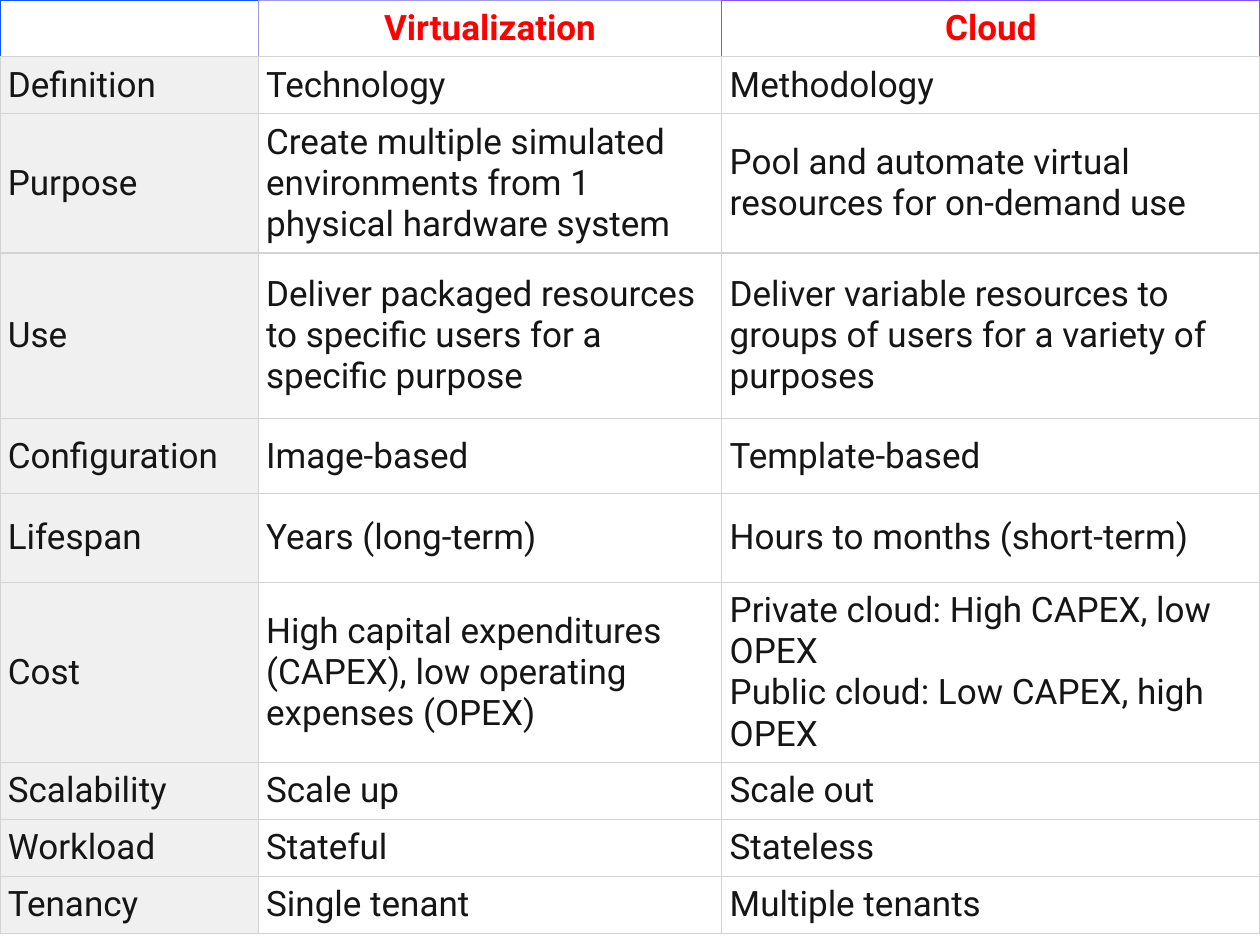
import pptx
import pptx.dml.color
import pptx.enum.text
import pptx.oxml
import pptx.oxml.ns
import pptx.util

Pt = pptx.util.Pt
RGBColor = pptx.dml.color.RGBColor
PP_ALIGN = pptx.enum.text.PP_ALIGN

WHITE = RGBColor(0xFF, 0xFF, 0xFF)
LABEL_GRAY = RGBColor(0xF0, 0xF0, 0xF0)
GRID_GRAY = RGBColor(0xD2, 0xD3, 0xD5)
RED = RGBColor(0xFF, 0x00, 0x00)
INK = RGBColor(0x15, 0x15, 0x15)
BLUE = RGBColor(0x10, 0x55, 0xFA)
LILAC = RGBColor(0xA0, 0x9A, 0xE7)
VIOLET = RGBColor(0x80, 0x53, 0xFA)

COLUMN_WIDTHS = [147.6, 264.9, 307.5]
ROW_HEIGHTS = [31.68, 31.68, 79.2, 94.5, 43.2, 50.4, 103, 31.68, 31.68, 31.68]
HEADER_EDGES = [(BLUE, BLUE, LILAC), (LILAC, LILAC, VIOLET), (VIOLET, VIOLET, VIOLET)]
HEADER_FORMAT = {"name": "Roboto", "size": Pt(20), "bold": True}
BODY_FORMAT = {"name": "Roboto", "size": Pt(20), "bold": False}
CELL_FORMAT = {
    "margin_left": Pt(4.5),
    "margin_right": Pt(4.5),
    "margin_top": Pt(4.5),
    "margin_bottom": Pt(4.5),
    "vertical_anchor": pptx.enum.text.MSO_ANCHOR.MIDDLE,
}
ROWS = [
    ("", "Virtualization", "Cloud"),
    ("Definition", "Technology", "Methodology"),
    (
        "Purpose",
        "Create multiple simulated environments from 1 physical hardware system",
        "Pool and automate virtual resources for on-demand use",
    ),
    (
        "Use",
        "Deliver packaged resources to specific users for a specific purpose",
        "Deliver variable resources to groups of users for a variety of purposes",
    ),
    ("Configuration", "Image-based", "Template-based"),
    ("Lifespan", "Years (long-term)", "Hours to months (short-term)"),
    (
        "Cost",
        "High capital expenditures (CAPEX), low operating expenses (OPEX)",
        "Private cloud: High CAPEX, low OPEX\vPublic cloud: Low CAPEX, high OPEX",
    ),
    ("Scalability", "Scale up", "Scale out"),
    ("Workload", "Stateful", "Stateless"),
    ("Tenancy", "Single tenant", "Multiple tenants"),
]


def set_attributes(target, values):
    """Set each named value on the target."""
    for name, value in values.items():
        setattr(target, name, value)


def draw_borders(cell, colors):
    """Line the left, right, top and bottom edges of a cell."""
    properties = cell._tc.get_or_add_tcPr()
    for side, color in zip("LRTB", colors):
        properties.append(pptx.oxml.parse_xml(
            f'<a:ln{side} {pptx.oxml.ns.nsdecls("a")} w="{Pt(0.75)}">'
            f'<a:solidFill><a:srgbClr val="{color}"/></a:solidFill></a:ln{side}>'
        ))


def fill_cell(cell, text, is_header, is_label, borders):
    """Write and format one cell of the comparison."""
    set_attributes(cell, CELL_FORMAT)
    draw_borders(cell, borders)
    cell.fill.solid()
    cell.fill.fore_color.rgb = LABEL_GRAY if is_label else WHITE
    para = cell.text_frame.paragraphs[0]
    para.text = text
    para.alignment = PP_ALIGN.CENTER if is_header else PP_ALIGN.LEFT
    for span in para.runs:
        set_attributes(span.font, HEADER_FORMAT if is_header else BODY_FORMAT)
        span.font.color.rgb = RED if is_header else INK


def add_comparison(page, left, top, width, height):
    """Place the comparison table in the given box."""
    box = page.shapes.add_table(len(ROWS), len(COLUMN_WIDTHS), left, top, width, height)
    table = box.table
    table.horz_banding = False
    for column, column_width in zip(table.columns, COLUMN_WIDTHS):
        column.width = int(width * column_width / sum(COLUMN_WIDTHS))
    for row, row_height in zip(table.rows, ROW_HEIGHTS):
        row.height = int(height * row_height / sum(ROW_HEIGHTS))
    for row_index, texts in enumerate(ROWS):
        is_header = row_index == 0
        for column_index, text in enumerate(texts):
            borders = [GRID_GRAY] * 4
            if is_header:
                left_color, top_color, right_color = HEADER_EDGES[column_index]
                borders = [left_color, right_color, top_color, GRID_GRAY]
            is_label = column_index == 0 and not is_header
            fill_cell(table.cell(row_index, column_index), text, is_header, is_label, borders)


def main():
    """Build the deck and save it."""
    deck = pptx.Presentation()
    set_attributes(deck, {"slide_width": Pt(720), "slide_height": Pt(540)})
    page = deck.slides.add_slide(deck.slide_layouts[6])
    add_comparison(page, Pt(0), Pt(0), Pt(720), Pt(sum(ROW_HEIGHTS)))
    deck.save("out.pptx")


if __name__ == "__main__":
    main()
